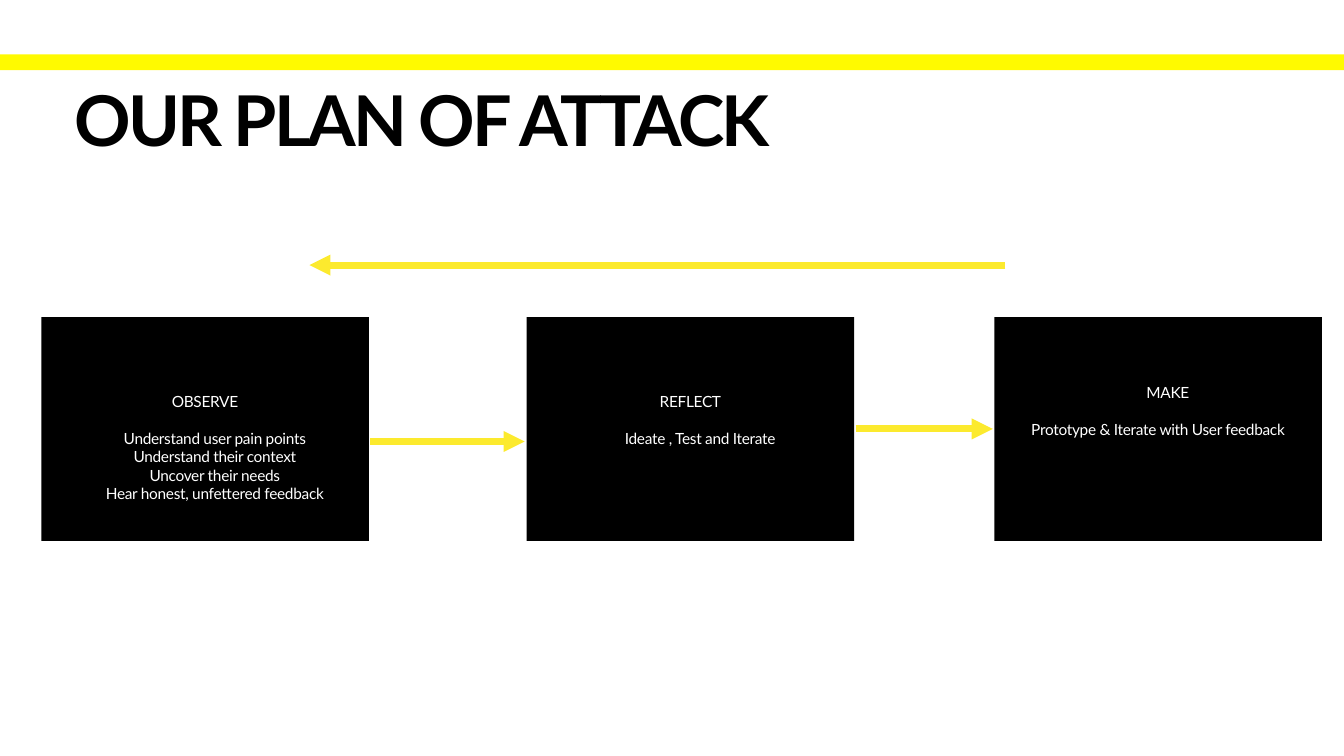
from dataclasses import dataclass

from lxml.etree import SubElement
from pptx import Presentation
from pptx.dml.color import RGBColor
from pptx.enum.shapes import MSO_CONNECTOR, MSO_SHAPE
from pptx.enum.text import MSO_ANCHOR, PP_ALIGN
from pptx.oxml.ns import qn
from pptx.util import Pt


@dataclass(frozen=True)
class Theme:
    font: str = "Lato"
    black: RGBColor = RGBColor(0x00, 0x00, 0x00)
    white: RGBColor = RGBColor(0xFF, 0xFF, 0xFF)
    band: RGBColor = RGBColor(0xFF, 0xFA, 0x00)
    arrow: RGBColor = RGBColor(0xFC, 0xEA, 0x2E)
    title_size: int = 100
    body_size: int = 22
    title_tracking: float = -4
    body_tracking: float = -0.4
    arrow_width: int = 10


THEME = Theme()
SLIDE_WIDTH, SLIDE_HEIGHT = 1920.24, 1080
STEP_TOP, STEP_WIDTH, STEP_HEIGHT = 453, 468, 319.7
INSET = 4.3
INDENT = 28
LINE_HEIGHT = 26.4

# left edge, space above heading, (heading, indent), (lines, indent)
STEPS = [
    (59, 107, ("OBSERVE", 0), ([
        "Understand user pain points",
        "Understand their context",
        "Uncover their needs",
        "Hear honest, unfettered feedback",
    ], INDENT)),
    (752.4, 107, ("REFLECT", 0), (["Ideate , Test and Iterate"], INDENT)),
    (1420.6, 93.8, ("MAKE", INDENT),
     (["Prototype & Iterate with User feedback"], 0)),
]

# start x, end x, y
ARROWS = [
    (529.2, 749.5, 630.7),
    (1222.6, 1418.4, 612.7),
    (1436.4, 442.1, 378.7),
]


def add_run(paragraph, text, size, color, tracking, bold=False):
    run = paragraph.add_run()
    run.text = text
    run.font.name = THEME.font
    run.font.size = Pt(size)
    run.font.bold = bold
    run.font.color.rgb = color
    run.font._element.set("spc", str(round(tracking * 100)))


def set_frame(frame, top=INSET):
    frame.word_wrap = True
    frame.vertical_anchor = MSO_ANCHOR.TOP
    frame.margin_left = frame.margin_right = frame.margin_bottom = Pt(INSET)
    frame.margin_top = Pt(top)


def add_block(slide, left, top, width, height, color):
    block = slide.shapes.add_shape(
        MSO_SHAPE.RECTANGLE, Pt(left), Pt(top), Pt(width), Pt(height))
    block.shadow.inherit = False
    block.fill.solid()
    block.fill.fore_color.rgb = color
    block.line.fill.background()
    return block


def add_title(slide, text):
    title = slide.shapes.add_textbox(Pt(102), Pt(127.5), Pt(1722), Pt(140))
    set_frame(title.text_frame)
    paragraph = title.text_frame.paragraphs[0]
    paragraph.line_spacing = 0.8
    add_run(paragraph, text, THEME.title_size, THEME.black,
            THEME.title_tracking, bold=True)


def add_step(slide, left, space_above, heading, details):
    """Add a black block with a heading and the lines below it."""
    frame = add_block(slide, left, STEP_TOP, STEP_WIDTH, STEP_HEIGHT,
                      THEME.black).text_frame
    set_frame(frame, space_above)
    lines, line_indent = details
    content = [heading] + [(line, line_indent) for line in lines]
    for index, (text, indent) in enumerate(content):
        paragraph = frame.add_paragraph() if index else frame.paragraphs[0]
        paragraph.alignment = PP_ALIGN.CENTER
        paragraph._p.get_or_add_pPr().set("marL", str(Pt(indent)))
        if index == 0:
            paragraph.space_after = Pt(LINE_HEIGHT)
        add_run(paragraph, text, THEME.body_size, THEME.white,
                THEME.body_tracking)


def add_arrow(slide, start, end, y):
    arrow = slide.shapes.add_connector(
        MSO_CONNECTOR.STRAIGHT, Pt(start), Pt(y), Pt(end), Pt(y))
    arrow.line.color.rgb = THEME.arrow
    arrow.line.width = Pt(THEME.arrow_width)
    SubElement(arrow.line._get_or_add_ln(), qn("a:tailEnd"), type="triangle")
    SubElement(arrow._element.spPr, qn("a:effectLst"))


def main():
    presentation = Presentation()
    presentation.slide_width = Pt(SLIDE_WIDTH)
    presentation.slide_height = Pt(SLIDE_HEIGHT)
    slide = presentation.slides.add_slide(presentation.slide_layouts[6])
    add_block(slide, 0, 77.8, SLIDE_WIDTH, 22.3, THEME.band)
    add_title(slide, "OUR PLAN OF ATTACK")
    for step in STEPS:
        add_step(slide, *step)
    for arrow in ARROWS:
        add_arrow(slide, *arrow)
    presentation.save("out.pptx")


if __name__ == "__main__":
    main()
